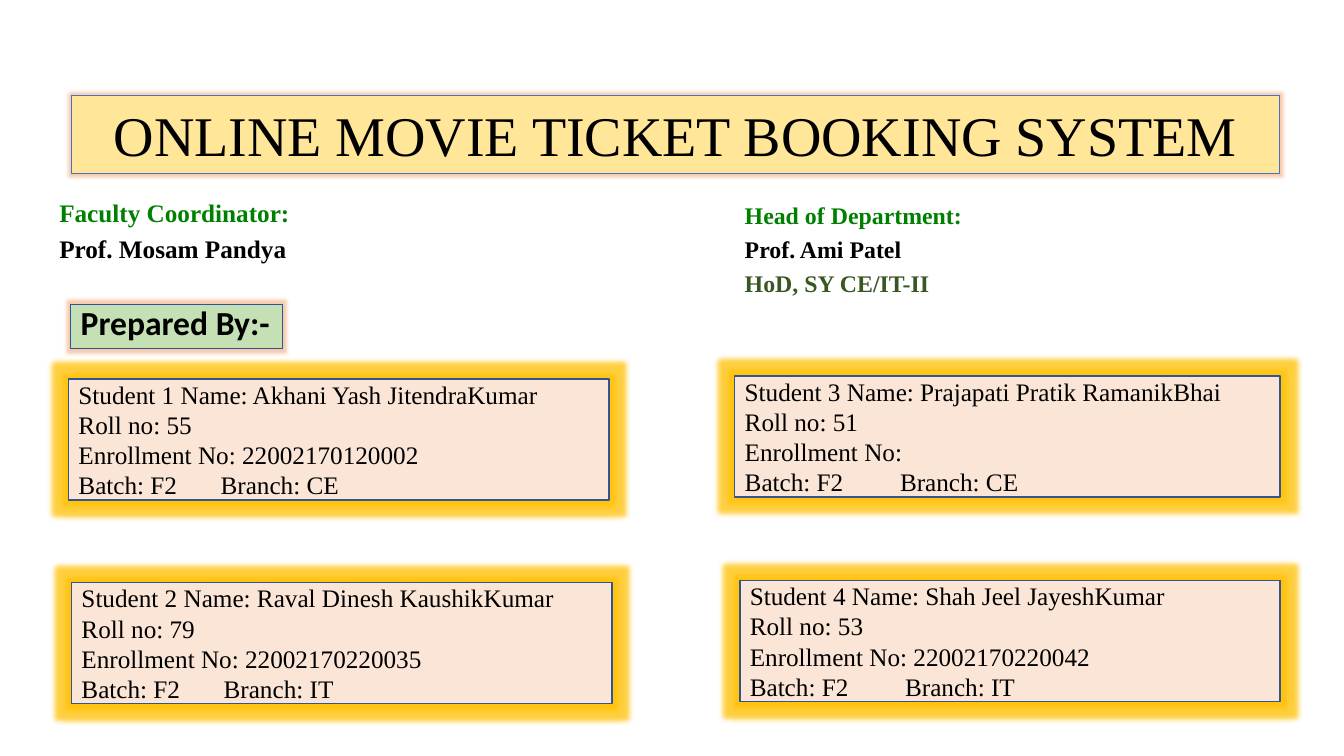
from dataclasses import dataclass

import lxml.etree
import pptx
import pptx.dml.color
import pptx.enum.shapes
import pptx.enum.text
import pptx.oxml.ns
import pptx.util

SLIDE_WIDTH = pptx.util.Inches(13.33)
SLIDE_HEIGHT = pptx.util.Inches(7.5)
COLUMNS, ROWS = 40, 30
ANCHOR = pptx.enum.text.MSO_ANCHOR
ALIGN = pptx.enum.text.PP_ALIGN


@dataclass(frozen=True)
class Theme:
    serif: str = "Times New Roman"
    sans: str = "Calibri"
    ink: str = "000000"
    heading: str = "008000"
    role: str = "385723"
    title_fill: str = "FFE699"
    title_line: str = "4472C4"
    label_fill: str = "C5E0B4"
    label_line: str = "2F5597"
    card_fill: str = "FBE5D6"
    card_line: str = "325491"
    orange_glow: str = "ED7D31"
    gold_glow: str = "FFC000"
    title_size: int = 40
    label_size: int = 24
    body_size: int = 18
    small_size: int = 17
    staff_gap: int = 4


THEME = Theme()

STUDENTS = [
    ((2.04, 15.04, 16.08, 4.8), 1.41,
     ["Student 1 Name: Akhani Yash JitendraKumar", "Roll no: 55",
      "Enrollment No: 22002170120002", "Batch: F2\tBranch: CE"]),
    ((2.13, 23.12, 16.08, 4.8), 1.41,
     ["Student 2 Name: Raval Dinesh KaushikKumar", "Roll no: 79",
      "Enrollment No: 22002170220035", "Batch: F2\tBranch: IT"]),
    ((22.02, 23.04, 16.08, 4.8), 1.54,
     ["Student 4 Name: Shah Jeel JayeshKumar", "Roll no: 53",
      "Enrollment No: 22002170220042", "Batch: F2\tBranch: IT"]),
    ((21.87, 14.92, 16.23, 4.8), 1.54,
     ["Student 3 Name: Prajapati Pratik RamanikBhai", "Roll no: 51",
      "Enrollment No:", "Batch: F2\tBranch: CE"]),
]

STAFF = [
    ((1.47, 7.64, 11.1, 3.68), THEME.body_size,
     [("Faculty Coordinator:", THEME.heading),
      ("Prof. Mosam Pandya", THEME.ink)]),
    ((21.87, 7.76, 11.1, 3.68), THEME.small_size,
     [("Head of Department:", THEME.heading),
      ("Prof. Ami Patel", THEME.ink),
      ("HoD, SY CE/IT-II", THEME.role)]),
]


def color(code):
    return pptx.dml.color.RGBColor.from_string(code)


def grid(cell):
    column, row, width, height = cell
    return (round(column * SLIDE_WIDTH / COLUMNS),
            round(row * SLIDE_HEIGHT / ROWS),
            round(width * SLIDE_WIDTH / COLUMNS),
            round(height * SLIDE_HEIGHT / ROWS))


def place(shape, cell):
    shape.left, shape.top, shape.width, shape.height = grid(cell)


def add_element(parent, tag, **attributes):
    element = lxml.etree.SubElement(parent, pptx.oxml.ns.qn(tag))
    for name, value in attributes.items():
        element.set(name, str(value))
    return element


def paint(shape, fill, line, line_width, glow, glow_radius, glow_alpha):
    shape.fill.solid()
    shape.fill.fore_color.rgb = color(fill)
    shape.line.color.rgb = color(line)
    shape.line.width = pptx.util.Pt(line_width)
    shape.shadow.inherit = False
    effects = shape._element.spPr.find(pptx.oxml.ns.qn("a:effectLst"))
    halo = add_element(effects, "a:glow", rad=pptx.util.Pt(glow_radius))
    tint = add_element(halo, "a:srgbClr", val=glow)
    add_element(tint, "a:alpha", val=glow_alpha * 1000)


def write(shape, lines, size, font, bold=False, anchor=ANCHOR.TOP,
          align=ALIGN.LEFT, line_spacing=1.0, space_before=0):
    frame = shape.text_frame
    frame.word_wrap = True
    frame.auto_size = pptx.enum.text.MSO_AUTO_SIZE.NONE
    frame.vertical_anchor = anchor
    for index, (text, ink) in enumerate(lines):
        paragraph = frame.add_paragraph() if index else frame.paragraphs[0]
        paragraph.alignment = align
        paragraph.line_spacing = line_spacing
        paragraph.space_before = pptx.util.Pt(space_before)
        run = paragraph.add_run()
        run.text = text
        run.font.name = font
        run.font.size = pptx.util.Pt(size)
        run.font.bold = bold
        run.font.color.rgb = color(ink)


def add_tab_stop(paragraph, inches):
    stops = add_element(paragraph._p.get_or_add_pPr(), "a:tabLst")
    add_element(stops, "a:tab", pos=pptx.util.Inches(inches), algn="l")


def fill_title(title):
    place(title, (2.13, 3.8, 35.94, 3.08))
    paint(title, THEME.title_fill, THEME.title_line, 0.75,
          THEME.orange_glow, 5, 40)
    write(title, [("ONLINE MOVIE TICKET BOOKING SYSTEM", THEME.ink)],
          THEME.title_size, THEME.serif, anchor=ANCHOR.BOTTOM,
          align=ALIGN.CENTER, line_spacing=0.9)


def fill_label(label):
    place(label, (2.1, 12.08, 6.3, 1.76))
    paint(label, THEME.label_fill, THEME.label_line, 0.75,
          THEME.orange_glow, 5, 40)
    write(label, [("Prepared By:-", THEME.ink)], THEME.label_size, THEME.sans,
          bold=True, line_spacing=0.8, space_before=10)


def add_student(slide, cell, branch_tab, lines):
    card = slide.shapes.add_shape(
        pptx.enum.shapes.MSO_SHAPE.RECTANGLE, *grid(cell))
    paint(card, THEME.card_fill, THEME.card_line, 1, THEME.gold_glow, 8, 75)
    write(card, [(line, THEME.ink) for line in lines], THEME.body_size,
          THEME.serif, anchor=ANCHOR.MIDDLE)
    add_tab_stop(card.text_frame.paragraphs[-1], branch_tab)


def add_staff(slide, cell, size, lines):
    box = slide.shapes.add_textbox(*grid(cell))
    write(box, lines, size, THEME.serif, bold=True,
          space_before=THEME.staff_gap)


def main():
    presentation = pptx.Presentation()
    presentation.slide_width = SLIDE_WIDTH
    presentation.slide_height = SLIDE_HEIGHT
    slide = presentation.slides.add_slide(presentation.slide_layouts[0])
    fill_title(slide.shapes.title)
    fill_label(slide.placeholders[1])
    for student in STUDENTS:
        add_student(slide, *student)
    for staff in STAFF:
        add_staff(slide, *staff)
    presentation.save("out.pptx")


if __name__ == "__main__":
    main()
